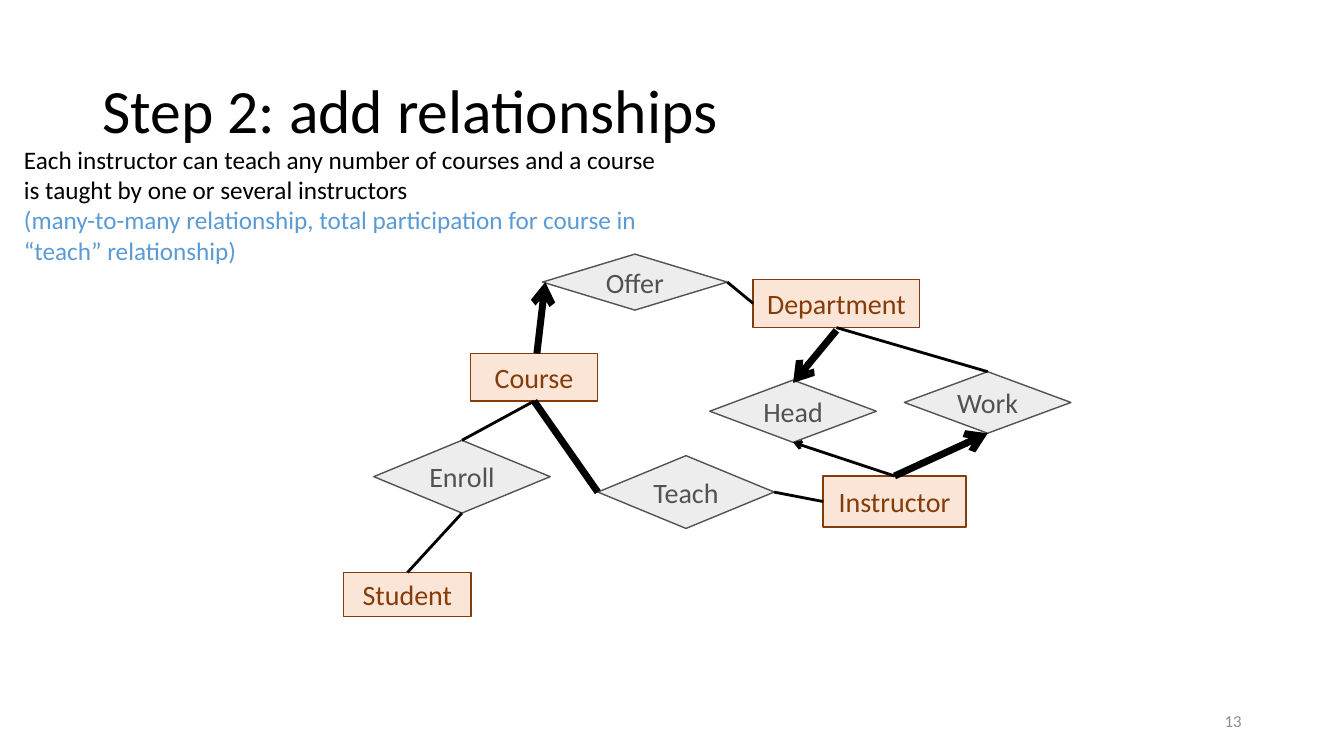
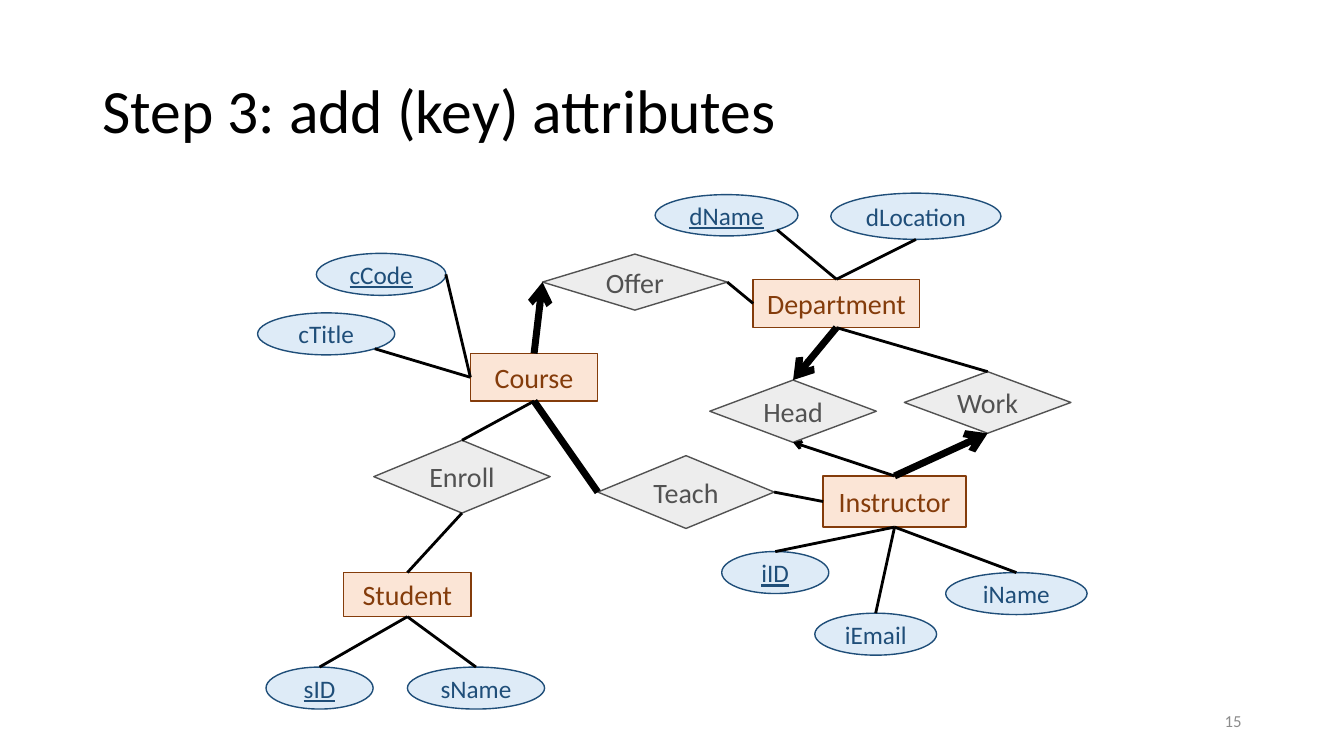
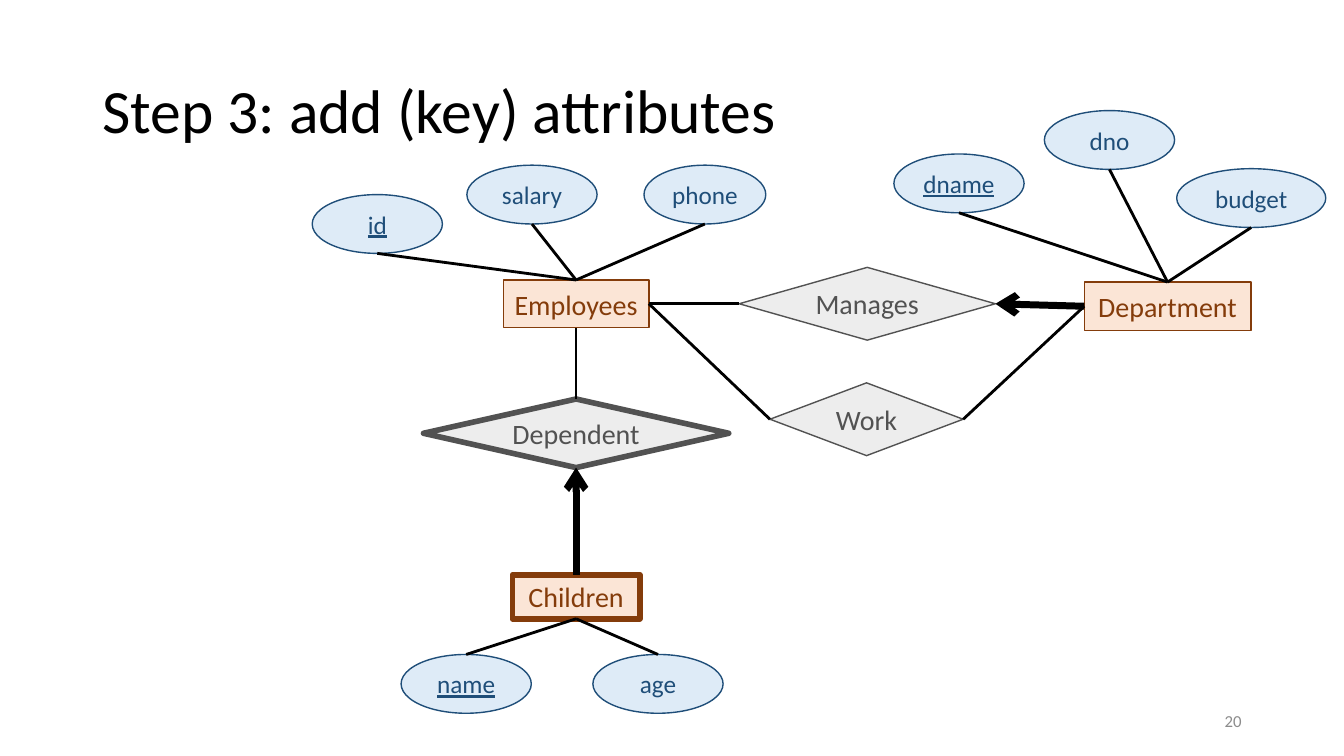
from math import sqrt

from lxml.etree import SubElement
from pptx import Presentation
from pptx.dml.color import RGBColor
from pptx.enum.shapes import MSO_CONNECTOR, MSO_SHAPE
from pptx.enum.text import MSO_ANCHOR, PP_ALIGN
from pptx.oxml.ns import qn
from pptx.util import Pt

COLORS = {
    "text": "000000", "number": "8C8C8C", "remark": "5B9BD5",
    "entity_fill": "FBE5D6", "entity_ink": "843C0B",
    "relation_fill": "EDEDED", "relation_ink": "525252",
    "attribute_fill": "DEEBF7", "attribute_ink": "1F4E79",
}
FONT = "Calibri"
KINDS = {  # preset shape and text size
    "entity": (MSO_SHAPE.RECTANGLE, 20),
    "relation": (MSO_SHAPE.FLOWCHART_DECISION, 20),
    "attribute": (MSO_SHAPE.OVAL, 18),
}
SIDES = {  # connection site, then offset from the centre in half sizes
    "top": (0, 0, -1),
    "left": (1, -1, 0),
    "bottom": (2, 0, 1),
    "right": (3, 1, 0),
    "lower right": (None, 1 / sqrt(2), 1 / sqrt(2)),
}
THIN, BORDER, WEAK, THICK = 2, 1, 4, 5


def color(name):
    return RGBColor.from_string(COLORS[name])


def write(para, text, size=18, ink="text", align=PP_ALIGN.LEFT,
          underline=None, spacing=None):
    para.alignment = align
    para.line_spacing = spacing
    span = para.add_run()
    span.text = text
    span.font.name = FONT
    span.font.size = Pt(size)
    span.font.color.rgb = color(ink)
    span.font.underline = underline


class DiagramDeck:
    """Holds the shared style, the current slide and its named nodes."""

    def __init__(self):
        self.deck = Presentation()
        self.deck.slide_width, self.deck.slide_height = Pt(960), Pt(540)
        self.page = None
        self.nodes = {}

    def new_page(self, title, number):
        self.page = self.deck.slides.add_slide(self.deck.slide_layouts[5])
        self.nodes = {}
        box = self.page.shapes.title
        box.left, box.top, box.width, box.height = Pt(66), Pt(29), Pt(828), Pt(104)
        box.text_frame.vertical_anchor = MSO_ANCHOR.MIDDLE
        write(box.text_frame.paragraphs[0], title, size=44, spacing=0.9)
        self.text_box(678, 500.5, 216, 29, [(number, "number")], size=12,
                      align=PP_ALIGN.RIGHT, anchor=MSO_ANCHOR.MIDDLE)

    def text_box(self, left, top, width, height, lines,
                 anchor=MSO_ANCHOR.TOP, **style):
        box = self.page.shapes.add_textbox(Pt(left), Pt(top), Pt(width), Pt(height))
        frame = box.text_frame
        frame.word_wrap = True
        frame.vertical_anchor = anchor
        for index, (text, ink) in enumerate(lines):
            para = frame.add_paragraph() if index else frame.paragraphs[0]
            write(para, text, ink=ink, **style)

    def node(self, kind, name, left, top, width, height, border=BORDER, key=None):
        preset, size = KINDS[kind]
        box = self.page.shapes.add_shape(preset, Pt(left), Pt(top), Pt(width), Pt(height))
        box.shadow.inherit = False
        box.fill.solid()
        box.fill.fore_color.rgb = color(kind + "_fill")
        box.line.color.rgb = color(kind + "_ink")
        box.line.width = Pt(border)
        frame = box.text_frame
        frame.margin_left = frame.margin_right = 0
        frame.margin_top = frame.margin_bottom = 0
        frame.word_wrap = True
        frame.vertical_anchor = MSO_ANCHOR.MIDDLE
        write(frame.paragraphs[0], name, size, kind + "_ink", PP_ALIGN.CENTER, key)
        self.nodes[name] = (kind, box)

    def point(self, name, side, shift):
        box = self.nodes[name][1]
        _, across, down = SIDES[side]
        return (int(box.left + box.width * (1 + across) / 2 + Pt(shift[0])),
                int(box.top + box.height * (1 + down) / 2 + Pt(shift[1])))

    def link(self, start, start_side, end, end_side, width=THIN, arrow=False,
             shift=(0, 0)):
        line = self.page.shapes.add_connector(
            MSO_CONNECTOR.STRAIGHT, *self.point(start, start_side, shift),
            *self.point(end, end_side, shift))
        line.line.color.rgb = color("text")
        line.line.width = Pt(width)
        properties = line.element.spPr
        if arrow:
            SubElement(properties.find(qn("a:ln")), qn("a:tailEnd"), type="arrow")
        SubElement(properties, qn("a:effectLst"))
        # Ovals number their sites differently, and shifted lines stay free
        for name, side, join in ((start, start_side, line.begin_connect),
                                 (end, end_side, line.end_connect)):
            kind, box = self.nodes[name]
            if kind != "attribute" and shift == (0, 0):
                join(box, SIDES[side][0])

    def attributes(self, owner, owner_side, ovals):
        for name, left, top, width, height, side, key in ovals:
            self.node("attribute", name, left, top, width, height, key=key)
            self.link(name, side, owner, owner_side)


def draw_university(sheet, offer_shift=(0, 0), head_shift=(0, 0)):
    # Entities
    for name, *place in (
            ("Department", 538, 199.5, 119, 34.5),
            ("Instructor", 588, 340, 102, 36.5),
            ("Course", 336, 252.5, 91, 34),
            ("Student", 245.5, 409, 91, 31.5)):
        sheet.node("entity", name, *place)
    # Relationships
    for name, *place in (
            ("Work", 646, 265.5, 119, 44),
            ("Head", 507, 271.5, 119, 44.5),
            ("Enroll", 267, 314.5, 126, 52),
            ("Offer", 387.5, 181.5, 132, 40),
            ("Teach", 427, 325.5, 126, 52)):
        sheet.node("relation", name, *place)
    # Links
    sheet.link("Work", "top", "Department", "bottom")
    sheet.link("Enroll", "top", "Course", "bottom")
    sheet.link("Student", "top", "Enroll", "bottom")
    sheet.link("Offer", "right", "Department", "left")
    sheet.link("Instructor", "left", "Teach", "right")
    sheet.link("Teach", "left", "Course", "bottom", THICK)
    sheet.link("Instructor", "top", "Head", "bottom", arrow=True)
    sheet.link("Instructor", "top", "Work", "bottom", THICK, True)
    sheet.link("Department", "bottom", "Head", "top", THICK, True, head_shift)
    sheet.link("Course", "top", "Offer", "left", THICK, True, offer_shift)


def relationships_page(sheet):
    sheet.new_page("Step 2: add relationships", "13")
    draw_university(sheet, offer_shift=(2, 0), head_shift=(0, 2))
    sheet.text_box(10, 99.5, 480, 94, [
        ("Each instructor can teach any number of courses and a course is "
         "taught by one or several instructors", "text"),
        ("(many-to-many relationship, total participation for course in "
         "“teach” relationship)", "remark")])


def university_attributes_page(sheet):
    sheet.new_page("Step 3: add (key) attributes", "15")
    draw_university(sheet)
    sheet.attributes("Department", "top", (
        ("dName", 468, 139, 102, 29.5, "lower right", True),
        ("dLocation", 593.5, 138, 121.5, 33, "bottom", None)))
    sheet.attributes("Instructor", "bottom", (
        ("iID", 515.5, 394, 76.5, 30, "top", True),
        ("iName", 675.5, 409, 101, 30, "top", None),
        ("iEmail", 582, 438, 87, 30, "top", None)))
    sheet.attributes("Student", "bottom", (
        ("sID", 190, 476.5, 76.5, 30, "top", True),
        ("sName", 291, 476.5, 98, 30, "top", None)))
    sheet.attributes("Course", "left", (
        ("cCode", 226, 181, 92.5, 30, "right", True),
        ("cTitle", 184, 223.5, 98, 30, "lower right", None)))


def company_attributes_page(sheet):
    sheet.new_page("Step 3: add (key) attributes", "20")
    # Entities and relationships
    sheet.node("entity", "Department", 774.5, 201.5, 119, 34.5)
    sheet.node("entity", "Employees", 359.5, 200, 104, 34)
    sheet.node("entity", "Children", 366, 410.5, 91, 31.5, border=WEAK)
    sheet.node("relation", "Dependent", 302.5, 285, 218, 49, border=WEAK)
    sheet.node("relation", "Manages", 528, 191, 183, 52)
    sheet.node("relation", "Work", 550, 273.5, 138, 52)
    # Links
    sheet.link("Dependent", "top", "Employees", "bottom")
    sheet.link("Work", "left", "Employees", "right")
    sheet.link("Manages", "left", "Employees", "right")
    sheet.link("Work", "right", "Department", "left")
    sheet.link("Children", "top", "Dependent", "bottom", THICK, True)
    sheet.link("Department", "left", "Manages", "right", THICK, True)
    # Attributes
    sheet.attributes("Children", "bottom", (
        ("name", 286.5, 467.5, 93, 42, "top", True),
        ("age", 423.5, 467.5, 93, 42, "top", None)))
    sheet.attributes("Employees", "top", (
        ("id", 223, 139, 93, 42, "bottom", True),
        ("salary", 333.5, 118, 93, 42, "bottom", None),
        ("phone", 460, 118, 87, 42, "bottom", None)))
    sheet.attributes("Department", "top", (
        ("dname", 638.5, 110, 93, 42, "bottom", True),
        ("dno", 746, 79, 93, 42, "bottom", None),
        ("budget", 840.5, 120.5, 106.5, 42, "bottom", None)))


def main():
    sheet = DiagramDeck()
    relationships_page(sheet)
    university_attributes_page(sheet)
    company_attributes_page(sheet)
    sheet.deck.save("out.pptx")


if __name__ == "__main__":
    main()
